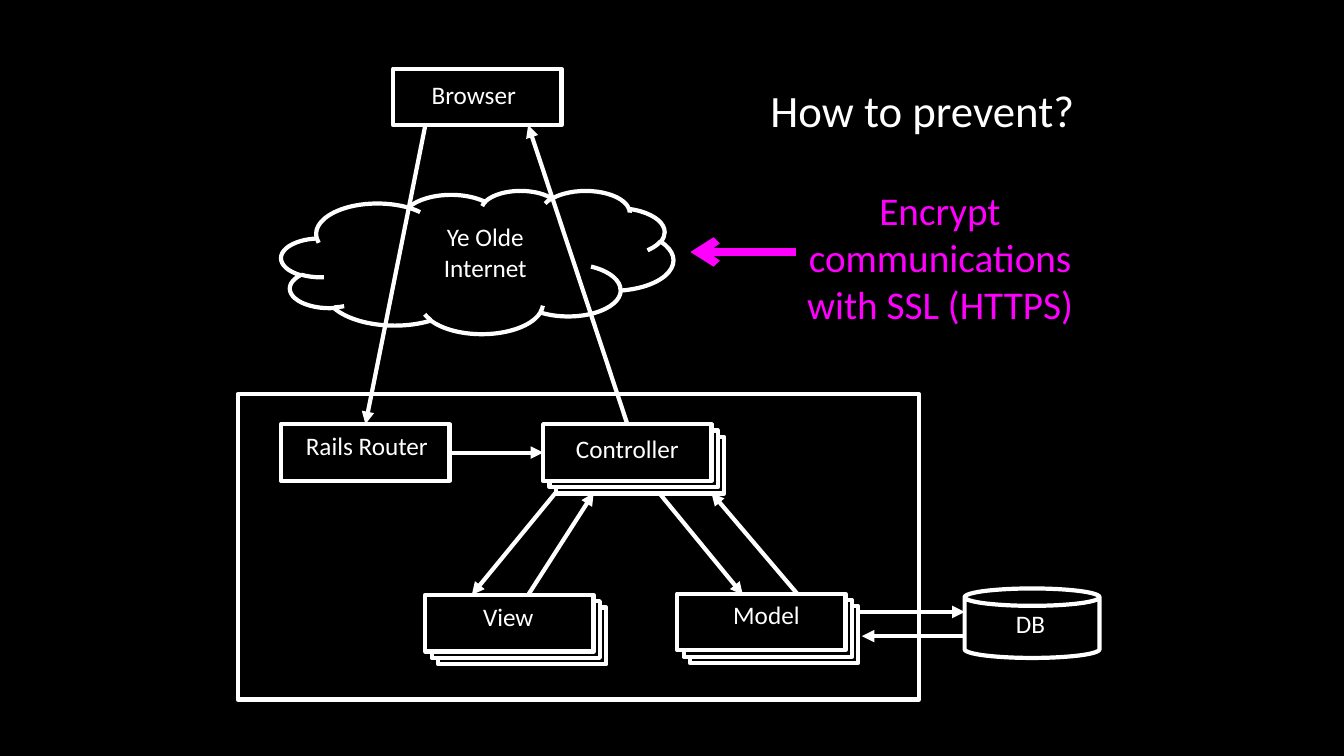
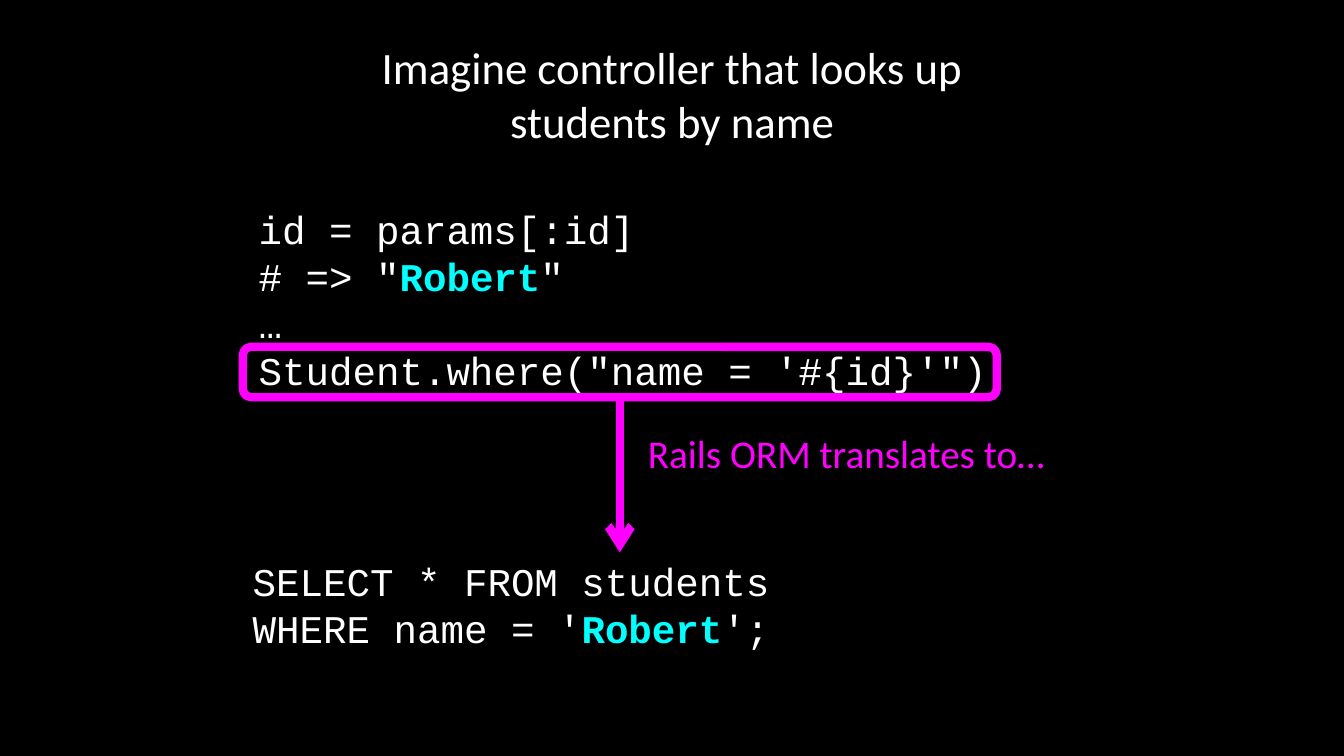
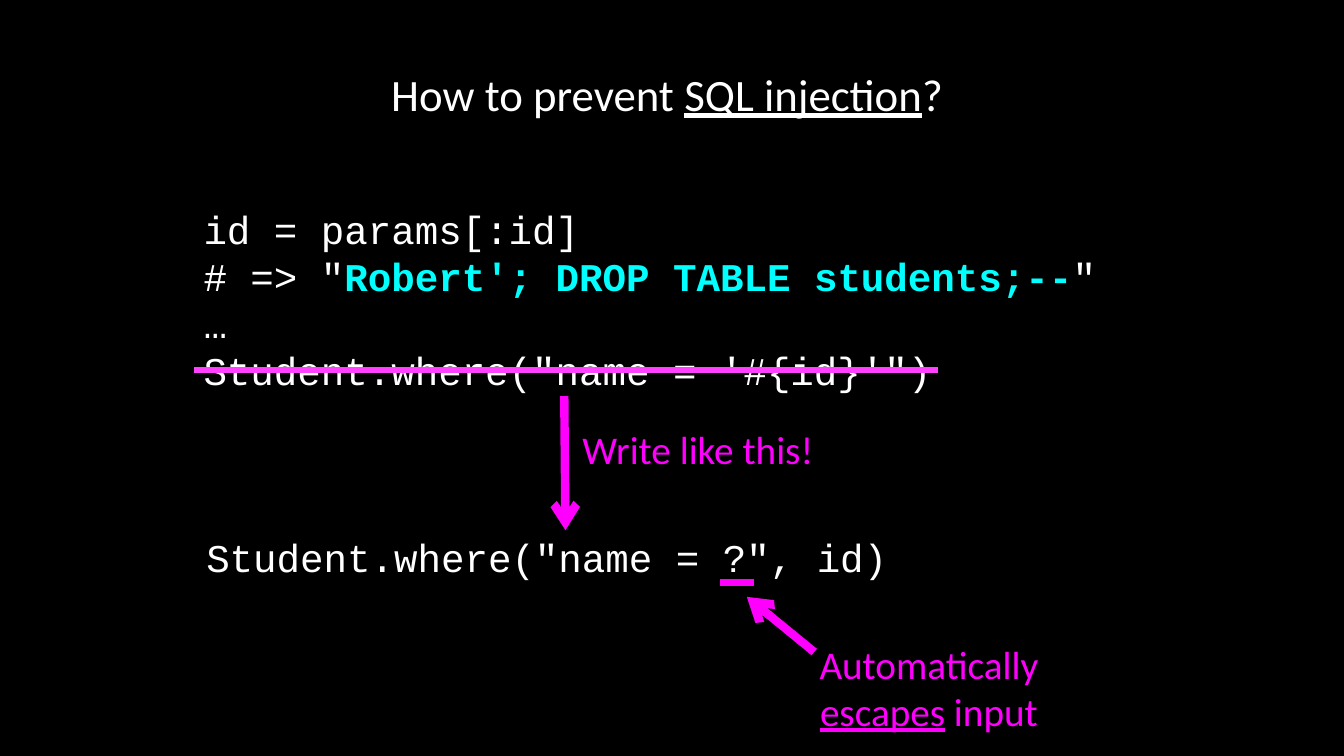
from lxml import etree
from pptx import Presentation
from pptx.dml.color import RGBColor
from pptx.enum.shapes import MSO_CONNECTOR as LINE, MSO_SHAPE as SHAPE
from pptx.enum.text import MSO_ANCHOR as ANCHOR, MSO_AUTO_SIZE as AUTO, PP_ALIGN as ALIGN
from pptx.oxml.ns import qn
from pptx.util import Cm, Pt

BLACK, WHITE, MAGENTA, PINK, CYAN = "000000", "FFFFFF", "FF00FF", "FF40FF", "00FFFF"
SANS, MONO = "Calibri", "Courier New"
TOP, LEFT, BOTTOM, RIGHT = range(4)
BOX_W, BOX_H, STEP = 4.24, 1.43, 0.16  # diagram boxes and the offset of stacked sheets


def rgb(color):
    return RGBColor.from_string(color)


class Deck:
    """Shared style plus the slide being built."""

    def __init__(self):
        self.prs = Presentation()
        self.prs.slide_width, self.prs.slide_height = Cm(33.87), Cm(19.05)
        fill = self.prs.slide_master.background.fill
        fill.solid()
        fill.fore_color.rgb = rgb(BLACK)

    def new_slide(self, title, x=1.7, y=0.76, w=30.48):
        self.s = self.prs.slides.add_slide(self.prs.slide_layouts[5])
        sp = self.s.shapes.title
        sp.left, sp.top, sp.width, sp.height = Cm(x), Cm(y), Cm(w), Cm(3.18)
        tf = sp.text_frame
        tf.auto_size, tf.vertical_anchor = AUTO.NONE, ANCHOR.MIDDLE
        self.fill_text(tf, [title], 32, SANS, WHITE, ALIGN.CENTER)

    def fill_text(self, tf, paragraphs, size, font, color, align):
        """A paragraph is a string or a list of strings and (text, style) runs."""
        for i, content in enumerate(paragraphs):
            p = tf.add_paragraph() if i else tf.paragraphs[0]
            p.alignment = align
            p.font.size, p.font.name = Pt(size), font
            p.font.color.rgb = rgb(color)
            if isinstance(content, str):
                p.text = content
                continue
            for part in content:
                text, style = (part, None) if isinstance(part, str) else part
                r = p.add_run()
                r.text = text
                if style == "underline":
                    r.font.underline = True
                elif style == "value":
                    r.font.bold = True
                    r.font.color.rgb = rgb(CYAN)

    def text(self, x, y, w, h, paragraphs, size=28, font=SANS, color=MAGENTA,
             align=ALIGN.LEFT, wrap=True):
        tf = self.s.shapes.add_textbox(Cm(x), Cm(y), Cm(w), Cm(h)).text_frame
        tf.word_wrap = wrap
        self.fill_text(tf, paragraphs, size, font, color, align)

    def code(self, x, y, w, h, paragraphs):
        self.text(x, y, w, h, paragraphs, font=MONO, color=WHITE)

    def label(self, x, y, w, text, h=1.02):
        self.text(x, y, w, h, [text], 18, color=WHITE, align=ALIGN.CENTER, wrap=False)

    def shape(self, kind, x, y, w, h, fill=None, color=WHITE, width=3):
        sp = self.s.shapes.add_shape(kind, Cm(x), Cm(y), Cm(w), Cm(h))
        sp.shadow.inherit = False
        if fill:
            sp.fill.solid()
            sp.fill.fore_color.rgb = rgb(fill)
        else:
            sp.fill.background()
        sp.line.color.rgb, sp.line.width = rgb(color), Pt(width)
        return sp

    def box(self, x, y, sheets=1):
        """A box in front of its stacked sheets; returns the front one."""
        for i in reversed(range(sheets)):
            sp = self.shape(SHAPE.RECTANGLE, x + i * STEP, y + i * STEP, BOX_W, BOX_H,
                            BLACK if sheets > 1 else None)
        return sp

    def line(self, start, end, color=MAGENTA, width=6, head="arrow", begin=None, finish=None):
        """begin and finish are (shape, side) pairs to join."""
        cx = self.s.shapes.add_connector(LINE.STRAIGHT, *(Cm(v) for v in start + end))
        if begin:
            cx.begin_connect(*begin)
        if finish:
            cx.end_connect(*finish)
        cx.line.color.rgb, cx.line.width = rgb(color), Pt(width)
        spPr = cx._element.spPr
        if head:
            etree.SubElement(spPr.find(qn("a:ln")), qn("a:tailEnd"), type=head)
        etree.SubElement(spPr, qn("a:effectLst"))

    def flow(self, start, end, **joins):
        self.line(start, end, WHITE, 3, "triangle", **joins)


def architecture(deck):
    deck.new_slide("How to prevent?", 17.91, 1.17, 10.67)

    # Components
    deck.box(9.91, 1.73)
    deck.shape(SHAPE.RECTANGLE, 5.99, 9.93, 17.17, 7.7)
    router = deck.box(7.09, 10.69)
    controller = deck.box(13.69, 10.69, sheets=3)
    deck.shape(SHAPE.CAN, 24.31, 14.83, 3.4, 1.75)
    deck.shape(SHAPE.CLOUD, 7.09, 4.8, 9.88, 3.61)
    deck.box(10.72, 14.99, sheets=3)
    deck.box(17.07, 14.96, sheets=3)

    # Requests and responses
    deck.flow((10.72, 3.15), (9.21, 10.69), finish=(router, TOP))
    deck.flow((15.81, 10.69), (13.31, 3.15), begin=(controller, TOP))
    deck.flow((11.33, 11.4), (13.69, 11.4), begin=(router, RIGHT), finish=(controller, LEFT))
    for start, end in [
        ((14, 12.42), (11.89, 14.99)), ((13.31, 14.99), (14.96, 12.42)),
        ((16.61, 12.42), (18.72, 14.99)), ((20.09, 14.96), (17.93, 12.42)),
        ((21.64, 15.42), (24.31, 15.42)), ((24.31, 16.03), (21.72, 16.03)),
    ]:
        deck.flow(start, end)

    # Component names
    deck.label(10.92, 5.46, 2.62, "Ye Olde\nInternet", 1.8)
    for x, y, w, name in [
        (10.62, 1.88, 2.64, "Browser"), (7.44, 10.72, 3.61, "Rails Router"),
        (14.25, 10.8, 3.12, "Controller"), (11.91, 15.04, 1.8, "View"),
        (18.21, 14.99, 2.21, "Model"), (25.35, 15.21, 1.24, "DB"),
    ]:
        deck.label(x, y, w, name)

    # Answer
    deck.line((20.07, 6.35), (17.4, 6.35))
    deck.text(19.46, 4.57, 8.46, 3.84, ["Encrypt communications with SSL (HTTPS)"],
              align=ALIGN.CENTER)


def lookup_code(value):
    return ["id = params[:id]", ['# => "', (value, "value"), '"'], "…",
            "Student.where(\"name = '#{id}'\")"]


def lookup(deck):
    deck.new_slide("Imagine controller that looks up\nstudents by name")
    deck.code(6.27, 5.05, 19.5, 5.05, lookup_code("Robert"))
    deck.code(6.12, 13.92, 21.51, 2.64,
              ["SELECT * FROM students", ["WHERE name = '", ("Robert", "value"), "';"]])

    # Translation of the framed call
    frame = deck.shape(SHAPE.ROUNDED_RECTANGLE, 6.12, 8.74, 19, 1.27, color=MAGENTA, width=6)
    deck.line((15.62, 10.01), (15.62, 13.92), begin=(frame, BOTTOM))
    deck.text(16.08, 10.69, 11, 1.45, ["Rails ORM translates to…"])


def injection(deck):
    deck.new_slide(["How to prevent ", ("SQL injection", "underline"), "? "])
    deck.code(4.88, 5.05, 25.86, 5.05, lookup_code("Robert'; DROP TABLE students;--"))

    # Placeholder and its explanation
    deck.line((18.14, 14.68), (19, 14.68), width=4.5, head=None)
    deck.line((20.52, 16.43), (18.82, 15.04))
    deck.text(20.07, 16, 6.68, 2.64, [["Automatically ", ("escapes", "underline"), " input"]],
              align=ALIGN.CENTER)

    # Safe call replacing the struck one
    deck.code(4.95, 13.31, 19.84, 1.45, ['Student.where("name = ?", id)'])
    deck.line((14.22, 9.98), (14.25, 13.36))
    deck.text(14.43, 10.59, 7, 1.45, ["Write like this!"])
    deck.line((4.9, 9.32), (23.65, 9.32), PINK, 4, None)


def main():
    deck = Deck()
    for build in (architecture, lookup, injection):
        build(deck)
    deck.prs.save("out.pptx")


if __name__ == "__main__":
    main()
